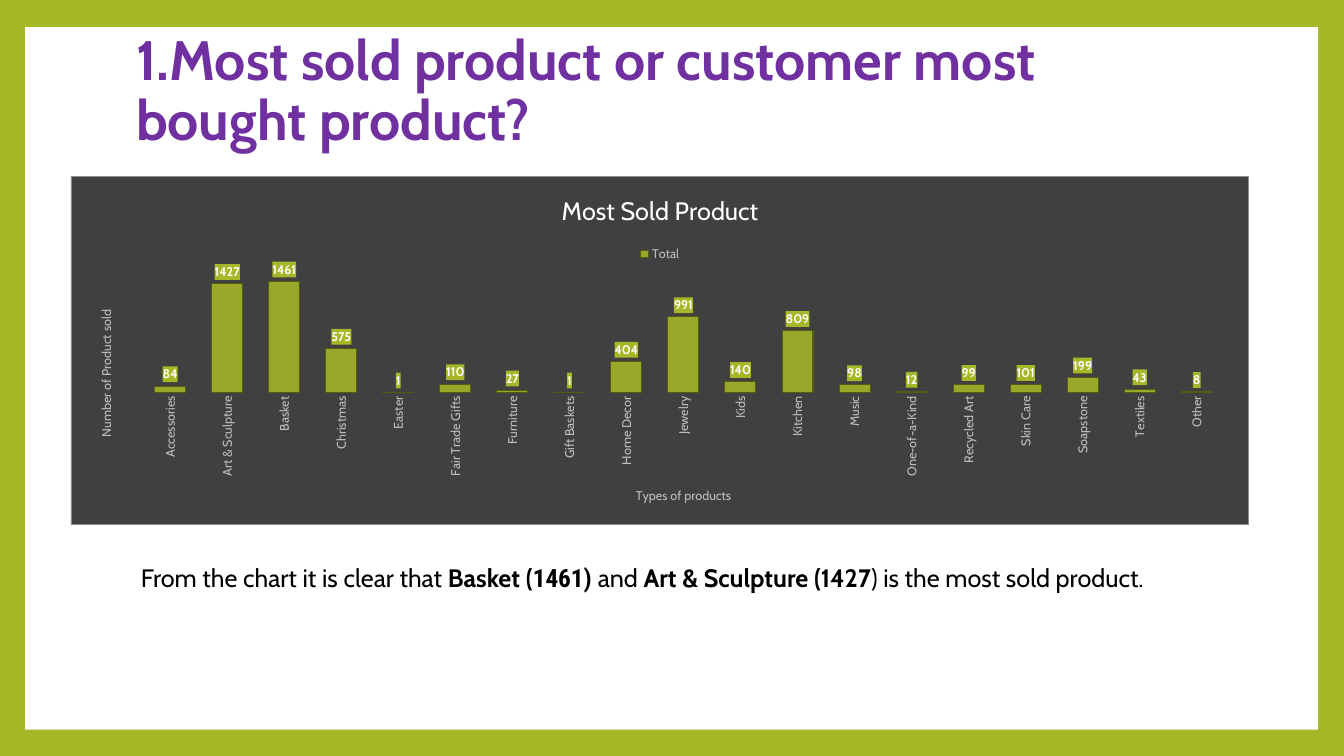
from dataclasses import dataclass

from lxml import etree
from pptx import Presentation
from pptx.chart.data import CategoryChartData
from pptx.dml.color import RGBColor
from pptx.enum.chart import XL_CHART_TYPE, XL_LABEL_POSITION, XL_LEGEND_POSITION, XL_TICK_MARK
from pptx.enum.shapes import MSO_SHAPE
from pptx.enum.text import MSO_ANCHOR, MSO_AUTO_SIZE, PP_ALIGN
from pptx.oxml import parse_xml
from pptx.oxml.ns import nsdecls, qn
from pptx.util import Inches, Pt

COLUMNS = XL_CHART_TYPE.COLUMN_CLUSTERED
OUTSIDE_END = XL_LABEL_POSITION.OUTSIDE_END
LEGEND_TOP = XL_LEGEND_POSITION.TOP
NO_TICK = XL_TICK_MARK.NONE
LEFT = PP_ALIGN.LEFT
MIDDLE = MSO_ANCHOR.MIDDLE
NO_AUTOFIT = MSO_AUTO_SIZE.NONE
GROW = MSO_AUTO_SIZE.SHAPE_TO_FIT_TEXT

HEADING = "1.Most sold product or customer most bought product?"
CHART_TITLE = "Most Sold Product"
PRODUCT_AXIS = "Types of products"
SOLD_AXIS = "Number of Product sold"
SERIES = "Total"
SOLD = {
    "Accessories": 84, "Art & Sculpture": 1427, "Basket": 1461, "Christmas": 575,
    "Easter": 1, "Fair Trade Gifts": 110, "Furniture": 27, "Gift Baskets": 1,
    "Home Decor": 404, "Jewelry": 991, "Kids": 140, "Kitchen": 809, "Music": 98,
    "One-of-a-Kind": 12, "Recycled Art": 99, "Skin Care": 101, "Soapstone": 199,
    "Textiles": 43, "Other": 8,
}
FINDING = [
    ("From the chart it is clear that ", {}),
    ("Basket (", {"bold": True}),
    ("1461) ", {"bold": True, "font": "Roboto Condensed"}),
    ("and ", {}),
    ("Art & Sculpture (1427", {"bold": True}),
    (") is the most sold product.", {}),
]


@dataclass(frozen=True)
class Theme:
    font: str = "Cabin"
    lime: str = "A6B727"
    bar_edge: str = "535C14"
    white: str = "FFFFFF"
    purple: str = "7030A0"
    black: str = "000000"
    chart_fill: str = "404040"
    chart_edge: str = "8C8C8C"
    muted: str = "BFBFBF"
    heading_size: float = 39.6
    body_size: float = 18
    label_size: float = 9


THEME = Theme()


def style(font, size=THEME.label_size, color=THEME.muted, bold=False, name=THEME.font):
    font.size, font.bold, font.name = Pt(size), bold, name
    font.color.rgb = RGBColor.from_string(color)


def write(frame, text, size=THEME.label_size, color=THEME.muted, bold=False,
          align=None, spacing=None):
    """Fill a frame with a string, or with (words, format) pairs, as one paragraph."""
    paragraph = frame.paragraphs[0]
    paragraph.alignment, paragraph.line_spacing = align, spacing
    for words, extra in ([(text, {})] if isinstance(text, str) else text):
        run = paragraph.add_run()
        run.text = words
        style(run.font, size, color, extra.get("bold", bold), extra.get("font", THEME.font))


def fill_solid(fill, color):
    fill.solid()
    fill.fore_color.rgb = RGBColor.from_string(color)


def box(left, top, width, height):
    return [Inches(length) for length in (left, top, width, height)]


def shape_properties(color, edge=""):
    """Chart XML for a solid fill and an optional half-point outline."""
    solid = '<a:solidFill><a:srgbClr val="{}"/></a:solidFill>'
    outline = f'<a:ln w="{Pt(0.5)}">{solid.format(edge)}</a:ln>' if edge else ""
    return parse_xml(f'<c:spPr {nsdecls("c", "a")}>{solid.format(color)}{outline}</c:spPr>')


def place_plot(plot_area, **fractions):
    """Fix the inner plot area in fractions of the chart's size."""
    for old in plot_area.findall(qn("c:layout")):
        plot_area.remove(old)
    layout = etree.Element(qn("c:layout"))
    manual = etree.SubElement(layout, qn("c:manualLayout"))
    settings = {"layoutTarget": "inner", "xMode": "edge", "yMode": "edge", **fractions}
    for tag, value in settings.items():
        etree.SubElement(manual, qn(f"c:{tag}")).set("val", str(value))
    plot_area.insert(0, layout)


def turn_upright(body):
    body.set("rot", "-5400000")
    body.set("vert", "horz")


def add_sales_chart(slide):
    data = CategoryChartData()
    data.categories = list(SOLD)
    data.add_series(SERIES, list(SOLD.values()))
    chart = slide.shapes.add_chart(COLUMNS, *box(0.7, 1.75, 11.69, 3.46), data).chart
    style(chart.font, size=10, color=THEME.black)
    space = chart.element
    space.find(qn("c:txPr")).addprevious(shape_properties(THEME.chart_fill, THEME.chart_edge))

    write(chart.chart_title.text_frame, CHART_TITLE, size=THEME.body_size, color=THEME.white)
    chart.chart_title.include_in_layout = False
    chart.has_legend = True
    chart.legend.position = LEGEND_TOP
    chart.legend.include_in_layout = False
    style(chart.legend.font)

    products, amounts = chart.category_axis, chart.value_axis
    products.major_tick_mark = products.minor_tick_mark = NO_TICK
    products.format.line.fill.background()
    style(products.tick_labels.font)
    amounts.has_major_gridlines = False
    amounts.minimum_scale, amounts.maximum_scale = 0, 1600
    amounts.visible = False
    for axis, caption in ((products, PRODUCT_AXIS), (amounts, SOLD_AXIS)):
        write(axis.axis_title.text_frame, caption)
    for body in space.xpath(".//c:catAx/c:txPr/a:bodyPr | .//c:valAx/c:title//a:bodyPr"):
        turn_upright(body)
    place_plot(space.xpath(".//c:plotArea")[0], x=0.06, y=0.27, w=0.92, h=0.35)

    plot = chart.plots[0]
    plot.gap_width = 84
    plot.vary_by_categories = False
    bars = plot.series[0]
    fill_solid(bars.format.fill, THEME.lime)
    tint = bars.format.fill.fore_color
    bars.format.line.width = Pt(0.75)
    fill_solid(bars.format.line.fill, THEME.bar_edge)
    for color in space.xpath(".//c:ser/c:spPr/a:solidFill/a:srgbClr"):
        etree.SubElement(color, qn("a:alpha")).set("val", "88000")

    labels = bars.data_labels
    labels.show_value = True
    labels.position = OUTSIDE_END
    style(labels.font, color=THEME.white, bold=True)
    space.xpath(".//c:ser/c:dLbls/c:txPr")[0].addprevious(shape_properties(THEME.lime))


def main():
    deck = Presentation()
    deck.slide_width, deck.slide_height = Inches(13.33), Inches(7.5)
    slide = deck.slides.add_slide(deck.slide_layouts[5])
    fill_solid(slide.background.fill, THEME.lime)

    panel = slide.shapes.add_shape(MSO_SHAPE.RECTANGLE, *box(0.25, 0.27, 12.82, 6.97))
    panel.shadow.inherit = False
    fill_solid(panel.fill, THEME.white)
    panel.line.fill.background()

    heading = slide.shapes.title
    heading.left, heading.top, heading.width, heading.height = box(1.25, 0.47, 10.8, 1.48)
    slide.shapes.element.append(heading.element)
    frame = heading.text_frame
    frame.word_wrap, frame.auto_size, frame.vertical_anchor = True, NO_AUTOFIT, MIDDLE
    frame.margin_bottom = Inches(0.63)
    write(frame, HEADING, size=THEME.heading_size, color=THEME.purple, bold=True,
          align=LEFT, spacing=0.9)

    add_sales_chart(slide)

    finding = slide.shapes.add_textbox(*box(1.3, 5.53, 11.09, 0.4)).text_frame
    finding.word_wrap, finding.auto_size = True, GROW
    write(finding, FINDING, size=THEME.body_size, color=THEME.black)

    deck.save("out.pptx")


if __name__ == "__main__":
    main()
